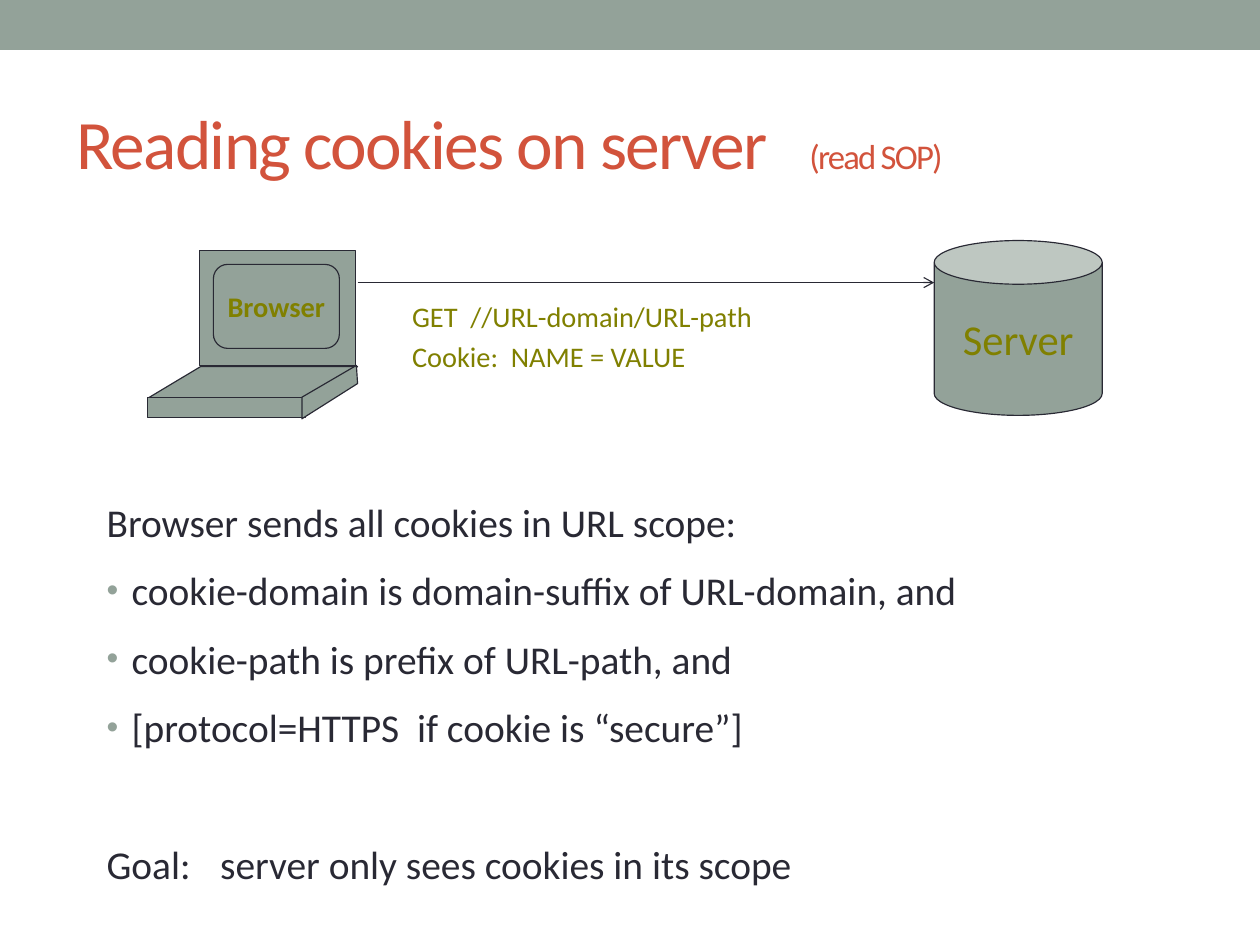
from lxml import etree
from pptx import Presentation
from pptx.dml.color import RGBColor
from pptx.enum import shapes, text
from pptx.oxml import ns
from pptx.util import Inches, Pt

COLORS = {"sage": "93A299", "ink": "292934", "title": "D2533C", "olive": "808000"}
MSO = shapes.MSO_SHAPE


def paint(sp, outlined=True):
    """Give a shape the sage fill, a thin ink outline and no shadow."""
    sp.shadow.inherit = False
    sp.fill.solid()
    sp.fill.fore_color.rgb = RGBColor.from_string(COLORS["sage"])
    if outlined:
        sp.line.color.rgb = RGBColor.from_string(COLORS["ink"])
        sp.line.width = Pt(0.75)
    else:
        sp.line.fill.background()


def format_text(p, size, color, bold=False):
    for r in p.runs:
        r.font.name = "Calibri"
        r.font.size = Pt(size)
        r.font.bold = bold
        r.font.color.rgb = RGBColor.from_string(COLORS[color])


prs = Presentation()
prs.slide_width, prs.slide_height = Inches(11.1), Inches(8.3)
s = prs.slides.add_slide(prs.slide_layouts[1])
title, body = s.placeholders

band = s.shapes.add_shape(MSO.RECTANGLE, 0, 0, prs.slide_width, Inches(0.44))
paint(band, outlined=False)

# Title and body
for sp, box in ((title, (0.56, 0.65, 9.99, 1.2)), (body, (0.83, 4.33, 10.27, 3.14))):
    sp.left, sp.top, sp.width, sp.height = map(Inches, box)
    tf = sp.text_frame
    tf.word_wrap = True
    tf.auto_size = text.MSO_AUTO_SIZE.NONE
    tf.margin_left = tf.margin_right = Inches(0.11)
    tf.margin_top = tf.margin_bottom = Inches(0.06)

title.text_frame.vertical_anchor = text.MSO_ANCHOR.MIDDLE
p = title.text_frame.paragraphs[0]
p.alignment = text.PP_ALIGN.LEFT
tabs = etree.SubElement(p._p.get_or_add_pPr(), ns.qn("a:tabLst"))
etree.SubElement(tabs, ns.qn("a:tab"), pos=str(Inches(6.46)), algn="l")
for words in ("Reading cookies on server", "\t(read SOP)"):
    p.add_run().text = words
format_text(p, 44, "title")
p.runs[1].font.size = Pt(22)
for r in p.runs:
    r._r.get_or_add_rPr().set("spc", "-110")

# text, bulleted, space before
lines = [
    ("Browser sends all cookies in URL scope:", False, 0),
    ("cookie-domain is domain-suffix of URL-domain, and", True, 13.3),
    ("cookie-path is prefix of URL-path, and", True, 13.3),
    ("[protocol=HTTPS  if cookie is “secure”]", True, 13.3),
    ("Goal:\tserver only sees cookies in its scope", False, 57),
]
tf = body.text_frame
for i, (words, bulleted, gap) in enumerate(lines):
    p = tf.add_paragraph() if i else tf.paragraphs[0]
    pPr = p._p.get_or_add_pPr()
    indent = Inches(0.22) if bulleted else 0
    pPr.set("marL", str(indent))
    pPr.set("indent", str(-indent))
    if bulleted:
        color = etree.SubElement(pPr, ns.qn("a:buClr"))
        etree.SubElement(color, ns.qn("a:srgbClr"), val=COLORS["sage"])
        etree.SubElement(pPr, ns.qn("a:buSzPct"), val="85000")
        etree.SubElement(pPr, ns.qn("a:buChar"), char="•")
    else:
        etree.SubElement(pPr, ns.qn("a:buNone"))
    if "\t" in words:
        tabs = etree.SubElement(pPr, ns.qn("a:tabLst"))
        etree.SubElement(tabs, ns.qn("a:tab"), pos=str(Inches(0.98)), algn="l")
    p.text = words
    p.space_before = Pt(gap)
    format_text(p, 25, "ink")

# Browser laptop
laptop = s.shapes.add_group_shape()
parts = [
    (MSO.RECTANGLE, (1.76, 2.21, 1.37, 1.01), None),
    (MSO.ROUNDED_RECTANGLE, (1.88, 2.33, 1.11, 0.74), 0.17),
    (MSO.PARALLELOGRAM, (1.3, 3.23, 1.85, 0.28), 1.67),
    (MSO.RECTANGLE, (1.3, 3.5, 1.39, 0.18), None),
]
for kind, box, adjustment in parts:
    sp = laptop.shapes.add_shape(kind, *map(Inches, box))
    paint(sp)
    if adjustment:
        sp.adjustments[0] = adjustment
    if kind == MSO.ROUNDED_RECTANGLE:
        screen = sp

side = [(2.66, 3.69), (3.15, 3.38), (3.14, 3.22), (2.66, 3.5)]
corners = [(Inches(x), Inches(y)) for x, y in side]
builder = laptop.shapes.build_freeform(*corners[0], scale=1.0)
builder.add_line_segments(corners[1:], close=True)
paint(builder.convert_to_shape())

# Server
server = s.shapes.add_shape(MSO.CAN, *map(Inches, (8.23, 2.12, 1.48, 1.54)))
server.adjustments[0] = 0.26
paint(server)

for sp, label, size, bold in ((screen, "Browser", 18, True), (server, "Server", 27, False)):
    tf = sp.text_frame
    tf.text = label
    tf.word_wrap = False
    tf.vertical_anchor = text.MSO_ANCHOR.MIDDLE
    tf.paragraphs[0].alignment = text.PP_ALIGN.CENTER
    format_text(tf.paragraphs[0], size, "olive", bold)

# Request
request = s.shapes.add_textbox(*map(Inches, (3.52, 2.58, 3.59, 0.78)))
tf = request.text_frame
tf.word_wrap = True
tf.margin_left = tf.margin_right = Inches(0.11)
tf.margin_top = tf.margin_bottom = Inches(0.06)
tf.text = "GET  //URL-domain/URL-path\nCookie:  NAME = VALUE"
tf.paragraphs[1].space_before = Pt(3.6)
for p in tf.paragraphs:
    format_text(p, 18, "olive")

arrow = s.shapes.add_connector(
    shapes.MSO_CONNECTOR.STRAIGHT, *map(Inches, (3.15, 2.49, 8.23, 2.49)))
arrow.line.color.rgb = RGBColor.from_string(COLORS["ink"])
arrow.line.width = Pt(0.75)
etree.SubElement(arrow.line._get_or_add_ln(), ns.qn("a:tailEnd"), type="arrow")
etree.SubElement(arrow._element.spPr, ns.qn("a:effectLst"))

prs.save("out.pptx")
